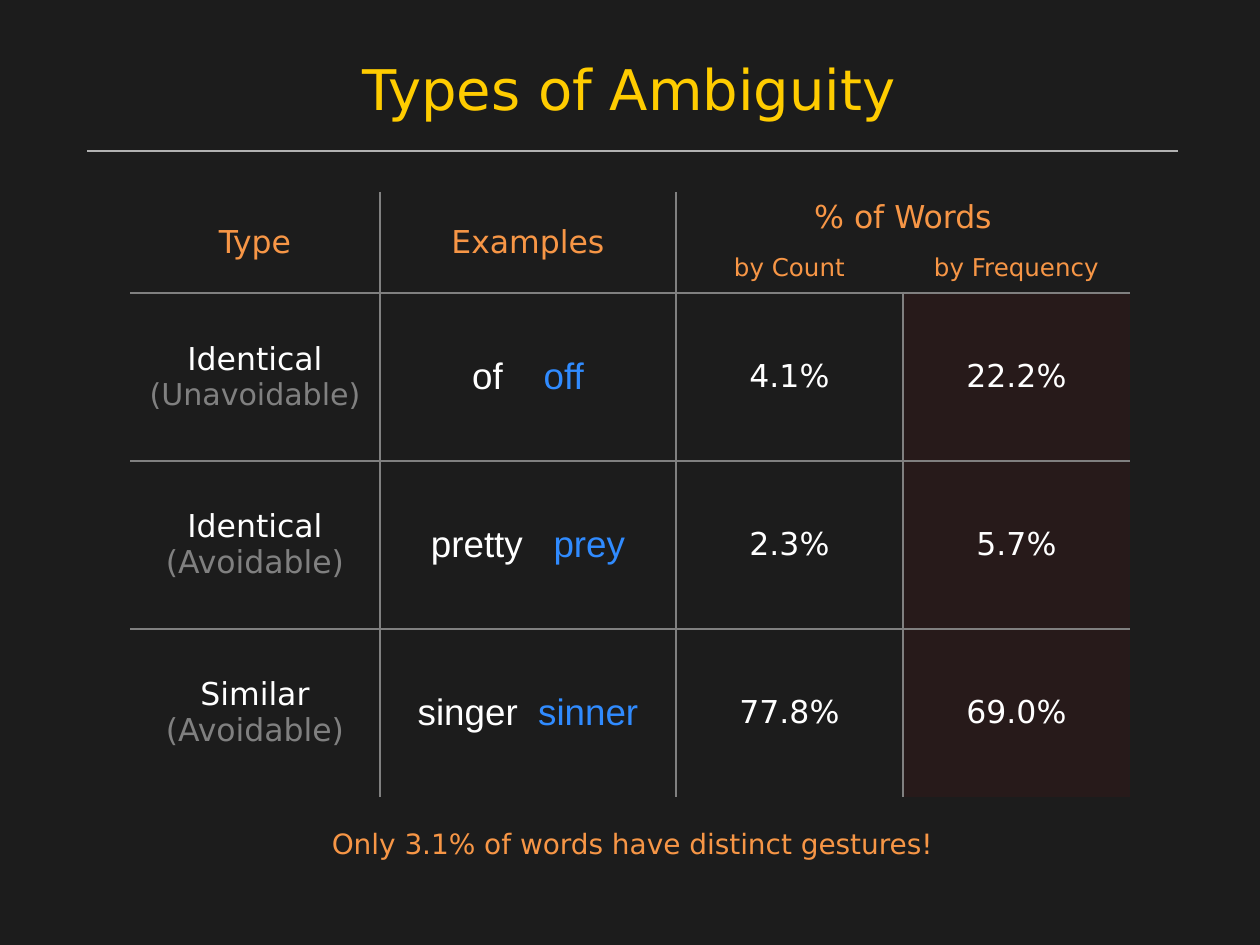
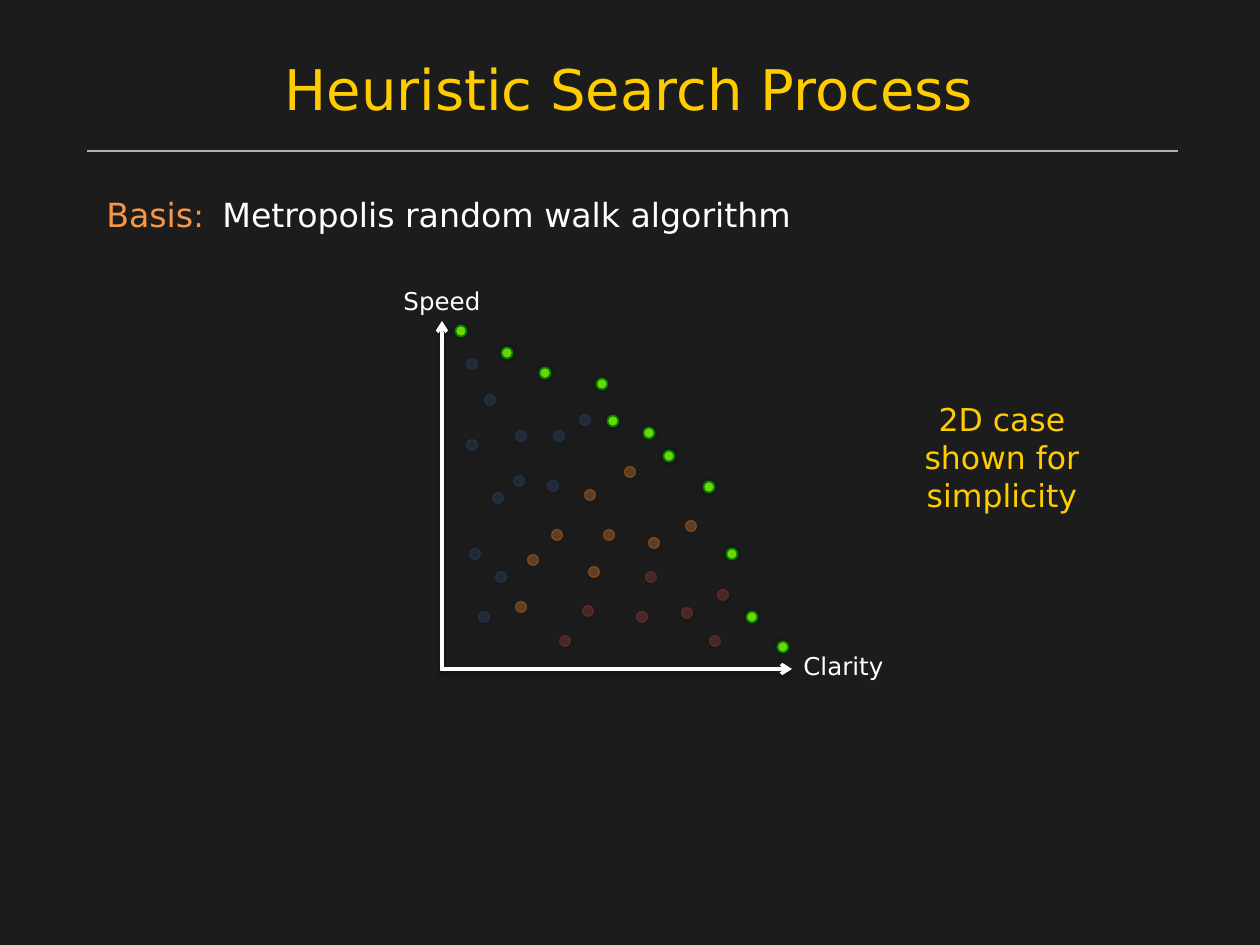
import pptx
import pptx.dml.color
import pptx.enum.shapes
import pptx.enum.text
import pptx.oxml.ns
import pptx.util
from lxml import etree

RGB = pptx.dml.color.RGBColor
ALIGN = pptx.enum.text.PP_ALIGN
ANCHOR = pptx.enum.text.MSO_ANCHOR
qn = pptx.oxml.ns.qn

# Shared look
PX_PER_INCH = 126
SANS, ARIAL = "DejaVu Sans", "Arial"
BACKGROUND = RGB(0x1C, 0x1C, 0x1C)
YELLOW = RGB(0xFF, 0xCC, 0x00)
ORANGE = RGB(0xF7, 0x96, 0x46)
WHITE = RGB(0xFF, 0xFF, 0xFF)
GRAY = RGB(0x80, 0x80, 0x80)
RULE_GRAY = RGB(0xB2, 0xB2, 0xB2)
WORD_BLUE = RGB(0x30, 0x8B, 0xFF)
RED = RGB(0xFF, 0x00, 0x00)
BLUE = RGB(0x4F, 0x81, 0xBD)
DARK_BLUE = RGB(0x1F, 0x49, 0x7D)
DARK_ORANGE = RGB(0xE4, 0x6C, 0x0A)
BRICK = RGB(0xC0, 0x50, 0x4D)
DARK_BRICK = RGB(0x95, 0x37, 0x35)
GREEN = RGB(0x6D, 0xD5, 0x05)
DARK_GREEN = RGB(0x00, 0x80, 0x00)

# Shadows: opacity %, blur pt, distance pt, direction in degrees
AXIS_SHADOW = (38, 3.1, 1.6, 90)
GLOW = (40, 5.5, 0, 0)
DROP = (35, 3.1, 1.8, 90)

# Ambiguity table
TABLE_LEFT, TABLE_TOP = 130, 192
COL_WIDTHS = [250, 296, 227, 227]
ROW_HEIGHTS = [49, 49, 168, 168, 168]
# type, note, note size, word, confused word, gap pt, count, frequency
AMBIGUITIES = [
    ("Identical", "(Unavoidable)", 17.2, "of", "off", 17.5, "4.1%", "22.2%"),
    ("Identical", "(Avoidable)", 18, "pretty", "prey", 11.7, "2.3%", "5.7%"),
    ("Similar", "(Avoidable)", 18, "singer", "sinner", 5.8, "77.8%", "69.0%"),
]

# Search plot: fill, opacity %, outline, outline opacity %, width, shadow, centres
DOT = 11
DOT_GROUPS = [
    (BLUE, 16, DARK_BLUE, 40, 0.75, DROP,
     [(472, 364), (490, 400), (472, 445), (521, 436), (559, 436), (585, 420),
      (519, 481), (498, 498), (553, 486), (475, 554), (501, 577), (484, 617)]),
    (ORANGE, 30, DARK_ORANGE, 40, 0.75, DROP,
     [(533, 560), (594, 572), (654, 543), (630, 472), (691, 526), (521, 607),
      (609, 535), (557, 535), (590, 495)]),
    (BRICK, 28, DARK_BRICK, 40, 0.75, DROP,
     [(565, 641), (642, 617), (687, 613), (715, 641), (588, 611), (723, 595),
      (651, 577)]),
    (GREEN, 100, DARK_GREEN, 100, 1, GLOW,
     [(461, 331), (507, 353), (545, 373), (602, 384), (613, 421), (649, 433),
      (669, 456), (709, 487), (732, 554), (752, 617), (783, 647)]),
]


def px(n):
    return pptx.util.Emu(round(n * 914400 / PX_PER_INCH))


def add_xml(parent, tag, **attrs):
    return etree.SubElement(parent, qn(tag), {k: str(v) for k, v in attrs.items()})


def set_alpha(element, percent):
    """Make the colour inside the element partly transparent."""
    if percent < 100:
        color = next(element.iter(qn("a:srgbClr")))
        add_xml(color, "a:alpha", val=percent * 1000)


def set_shadow(shape, shadow=None):
    effects = add_xml(shape._element.spPr, "a:effectLst")
    if shadow:
        opacity, blur, distance, direction = shadow
        outer = add_xml(effects, "a:outerShdw", blurRad=pptx.util.Pt(blur),
                        dist=pptx.util.Pt(distance), dir=direction * 60000,
                        rotWithShape=0)
        add_xml(outer, "a:srgbClr", val="000000")
        set_alpha(outer, opacity)


def add_run(p, text, size=18, color=WHITE, font=SANS, spacing=0):
    r = p.add_run()
    r.text = text
    r.font.size = pptx.util.Pt(size)
    r.font.name = font
    r.font.color.rgb = color
    if spacing:
        r.font._element.set("spc", str(round(spacing * 100)))
    return r


def add_text(s, text, x, y, w, h, align=ALIGN.LEFT, anchor=ANCHOR.TOP, **fmt):
    tf = s.shapes.add_textbox(px(x), px(y), px(w), px(h)).text_frame
    tf.word_wrap = True
    tf.vertical_anchor = anchor
    p = tf.paragraphs[0]
    p.alignment = align
    add_run(p, text, **fmt)
    return p


def add_line(s, start, end, color, width, arrow=False, shadow=None):
    line = s.shapes.add_connector(pptx.enum.shapes.MSO_CONNECTOR.STRAIGHT,
                                  *map(px, start + end))
    line.line.color.rgb = color
    line.line.width = pptx.util.Pt(width)
    if arrow:
        add_xml(line.line._get_or_add_ln(), "a:tailEnd", type="arrow")
    set_shadow(line, shadow)


def add_dot(s, center, fill, opacity, outline, outline_opacity, width, shadow):
    x, y = center
    dot = s.shapes.add_shape(pptx.enum.shapes.MSO_SHAPE.OVAL,
                             px(x - DOT / 2), px(y - DOT / 2), px(DOT), px(DOT))
    dot.fill.solid()
    dot.fill.fore_color.rgb = fill
    dot.line.color.rgb = outline
    dot.line.width = pptx.util.Pt(width)
    sp_pr = dot._element.spPr
    set_alpha(sp_pr.find(qn("a:solidFill")), opacity)
    set_alpha(sp_pr.find(qn("a:ln")), outline_opacity)
    set_shadow(dot, shadow)


def add_titled_slide(prs, title):
    s = prs.slides.add_slide(prs.slide_layouts[6])
    s.background.fill.solid()
    s.background.fill.fore_color.rgb = BACKGROUND
    add_text(s, title, 94, 30, 1071, 116, align=ALIGN.CENTER,
             anchor=ANCHOR.MIDDLE, size=32, color=YELLOW)
    add_line(s, (87, 151), (1178, 151), RULE_GRAY, 1.5)
    return s


def set_borders(cell, **sides):
    tc_pr = cell._tc.get_or_add_tcPr()
    for side, shown in sides.items():
        ln = add_xml(tc_pr, f"a:ln{side}", w=pptx.util.Pt(1.5))
        if shown:
            add_xml(add_xml(ln, "a:solidFill"), "a:srgbClr", val=GRAY)
        else:
            add_xml(ln, "a:noFill")


def add_cell_line(cell, *runs, new=False):
    """Write (text, format) runs as one centred line of the cell."""
    tf = cell.text_frame
    p = tf.add_paragraph() if new else tf.paragraphs[0]
    p.alignment = ALIGN.CENTER
    for text, fmt in runs:
        add_run(p, text, **fmt)


def format_grid(table):
    """Rule the inner edges, leaving the '% of Words' header block open."""
    last_row, last_col = len(ROW_HEIGHTS) - 1, len(COL_WIDTHS) - 1
    for r in range(last_row + 1):
        for c in range(last_col + 1):
            cell = table.cell(r, c)
            cell.vertical_anchor = ANCHOR.MIDDLE
            header = r < 2
            set_borders(cell,
                        L=c > 0 and not (header and c == 3),
                        R=c < last_col and not (header and c == 2),
                        T=r > 1,
                        B=r < last_row and not (r == 0 and c >= 2))
            if c == last_col and not header:
                cell.fill.solid()
                cell.fill.fore_color.rgb = RED
                set_alpha(cell._tc.tcPr.find(qn("a:solidFill")), 5)
            else:
                cell.fill.background()


def add_ambiguity_table(s):
    table = s.shapes.add_table(
        len(ROW_HEIGHTS), len(COL_WIDTHS), px(TABLE_LEFT), px(TABLE_TOP),
        px(sum(COL_WIDTHS)), px(sum(ROW_HEIGHTS))).table
    table.first_row = table.horz_banding = False
    for column, width in zip(table.columns, COL_WIDTHS):
        column.width = px(width)
    for row, height in zip(table.rows, ROW_HEIGHTS):
        row.height = px(height)
    format_grid(table)

    # Header
    for c in (0, 1):
        table.cell(0, c).merge(table.cell(1, c))
    table.cell(0, 2).merge(table.cell(0, 3))
    for r, c, text, size in [(0, 0, "Type", 18), (0, 1, "Examples", 18),
                             (0, 2, "% of Words", 18), (1, 2, "by Count", 14),
                             (1, 3, "by Frequency", 14)]:
        add_cell_line(table.cell(r, c), (text, dict(size=size, color=ORANGE)))

    # Body
    example = dict(size=21, font=ARIAL)
    for r, row in enumerate(AMBIGUITIES, start=2):
        kind, note, note_size, word, confused, gap, count, frequency = row
        add_cell_line(table.cell(r, 0), (kind, {}))
        add_cell_line(table.cell(r, 0), (note, dict(size=note_size, color=GRAY)),
                      new=True)
        add_cell_line(table.cell(r, 1), (word, example),
                      (" ", dict(example, spacing=gap)),
                      (confused, dict(example, color=WORD_BLUE)))
        add_cell_line(table.cell(r, 2), (count, {}))
        add_cell_line(table.cell(r, 3), (frequency, {}))


def build_ambiguity_slide(prs):
    s = add_titled_slide(prs, "Types of Ambiguity")
    add_ambiguity_table(s)
    add_text(s, "Only 3.1% of words have distinct gestures!", 87, 820, 1091, 47,
             align=ALIGN.CENTER, size=16, color=ORANGE)


def build_search_slide(prs):
    s = add_titled_slide(prs, "Heuristic Search Process")

    # Statement and side note
    p = add_text(s, "Basis", 94, 188, 195, 59, size=19, color=ORANGE)
    add_run(p, ":", color=ORANGE)
    add_text(s, "Metropolis random walk algorithm", 210, 188, 863, 49, size=19)
    add_text(s, "2D case shown for simplicity", 881, 394, 242, 127,
             align=ALIGN.CENTER, color=YELLOW)

    # Axes
    add_text(s, "Speed", 375, 280, 134, 43, align=ALIGN.CENTER, size=14)
    add_line(s, (442, 671), (442, 321), WHITE, 2, arrow=True, shadow=AXIS_SHADOW)
    add_line(s, (442, 669), (792, 669), WHITE, 2, arrow=True, shadow=AXIS_SHADOW)
    add_text(s, "Clarity", 791, 645, 113, 43, size=14)

    # Candidate solutions
    for *style, centers in DOT_GROUPS:
        for center in centers:
            add_dot(s, center, *style)


def main():
    prs = pptx.Presentation()
    prs.slide_width, prs.slide_height = px(1260), px(945)
    build_ambiguity_slide(prs)
    build_search_slide(prs)
    prs.save("out.pptx")


if __name__ == "__main__":
    main()
